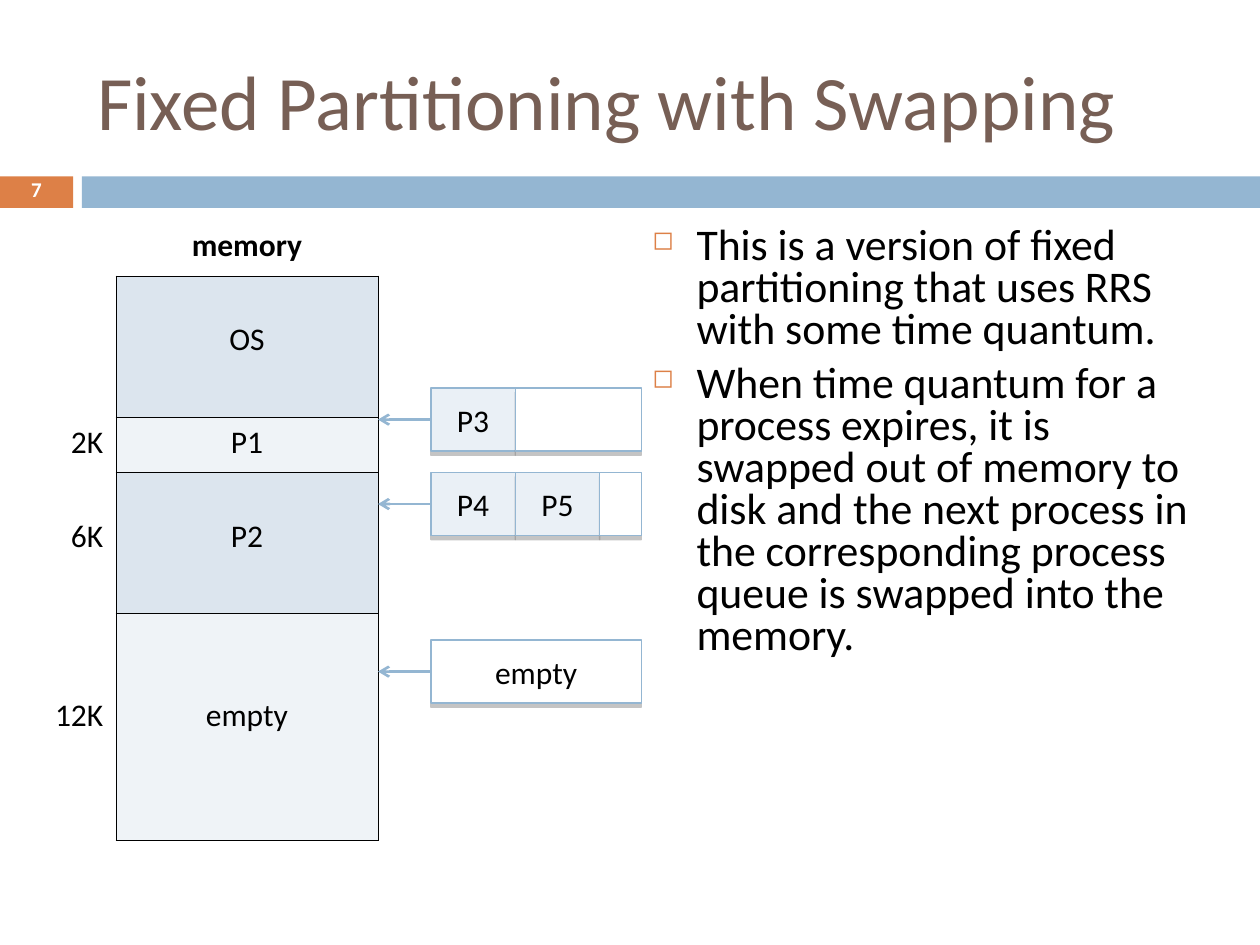
from lxml.etree import SubElement
from pptx import Presentation
from pptx.dml.color import RGBColor
from pptx.enum.shapes import MSO_CONNECTOR, MSO_SHAPE
from pptx.enum.text import MSO_ANCHOR, PP_ALIGN
from pptx.oxml import parse_xml
from pptx.oxml.ns import nsdecls, qn
from pptx.util import Inches, Pt

BLUE, ORANGE, BLACK, WHITE = "94B6D2", "DD8047", "000000", "FFFFFF"


def rgb(color):
    return RGBColor.from_string(color)


def style(p, size, color=BLACK, bold=False, align=PP_ALIGN.LEFT):
    p.alignment = align
    for r in p.runs:
        r.font.name = "Calibri"
        r.font.size = Pt(size)
        r.font.bold = bold
        r.font.color.rgb = rgb(color)


prs = Presentation()
prs.slide_width, prs.slide_height = Inches(10), Inches(7.5)
s = prs.slides.add_slide(prs.slide_layouts[5])

# Header bars
for left, width, color in [(0, 0.58, ORANGE), (0.65, 9.35, BLUE)]:
    bar = s.shapes.add_shape(MSO_SHAPE.RECTANGLE, Inches(left), Inches(1.4),
                             Inches(width), Inches(0.25))
    bar.shadow.inherit = False
    bar.fill.solid()
    bar.fill.fore_color.rgb = rgb(color)
    bar.line.fill.background()

# Title
title = s.shapes.title
title.left, title.top = Inches(0.67), Inches(0.25)
title.width, title.height = Inches(8.92), Inches(1.08)
tf = title.text_frame
tf.text = "Fixed Partitioning with Swapping"
tf.vertical_anchor = MSO_ANCHOR.MIDDLE
style(tf.paragraphs[0], 44, "775F55")

# Slide number
tf = s.shapes.add_textbox(0, Inches(1.39), Inches(0.58), Inches(0.27)).text_frame
tf.word_wrap = True
tf.vertical_anchor = MSO_ANCHOR.MIDDLE
tf.text = "7"
tf.paragraphs[0].line_spacing = 0.7
style(tf.paragraphs[0], 12, WHITE, True, PP_ALIGN.CENTER)

# Bullets
tf = s.shapes.add_textbox(Inches(5.08), Inches(1.75), Inches(4.5), Inches(4.92)).text_frame
tf.word_wrap = True
bullets = [
    "This is a version of fixed partitioning that uses RRS with some time quantum.",
    "When time quantum for a process expires, it is swapped out of memory to disk "
    "and the next process in the corresponding process queue is swapped into the memory.",
]
for i, text in enumerate(bullets):
    p = tf.add_paragraph() if i else tf.paragraphs[0]
    p.text = text
    p.line_spacing = 0.8
    p.space_before = Pt(7 if i else 0)
    pPr = p._p.get_or_add_pPr()
    pPr.set("marL", str(Inches(0.35)))
    pPr.set("indent", str(-Inches(0.35)))
    color = SubElement(pPr, qn("a:buClr"))
    SubElement(color, qn("a:srgbClr"), val=ORANGE)
    SubElement(pPr, qn("a:buSzPct"), val="60000")
    SubElement(pPr, qn("a:buChar"), char="◻")
    style(p, 25)

# Memory table: size label, partition, fill, row height, text lines to move down
rows = [
    ("", "memory", WHITE, 0.44, 0),
    ("", "OS", "DCE5EE", 1.12, 1),
    ("2K", "P1", "EFF3F7", 0.44, 0),
    ("6K", "P2", "DCE5EE", 1.12, 1),
    ("12K", "empty", "EFF3F7", 1.8, 2),
]
frame = s.shapes.add_table(len(rows), 2, 0, Inches(1.75), Inches(3), Inches(4.92))
table = frame.table
table.columns[0].width, table.columns[1].width = Inches(0.92), Inches(2.08)
for i, (size, name, fill, height, lines) in enumerate(rows):
    table.rows[i].height = Inches(height)
    for j, text in enumerate((size, name)):
        cell = table.cell(i, j)
        cell.margin_top = Inches(0.05 + 0.305 * lines)
        cell.text = text
        style(cell.text_frame.paragraphs[0], 18, bold=i == 0,
              align=PP_ALIGN.CENTER if j else PP_ALIGN.RIGHT)
        tcPr = cell._tc.get_or_add_tcPr()
        for side in "LRTB":
            if i == 0:
                black = j == 1 and side == "B"
            else:
                black = j == 1 or side == "R"
            ln = SubElement(tcPr, qn(f"a:ln{side}"), w=str(Pt(0.45)))
            paint = SubElement(ln, qn("a:solidFill"))
            SubElement(paint, qn("a:srgbClr"), val=BLACK if black else WHITE)
        cell.fill.solid()
        cell.fill.fore_color.rgb = rgb(fill if j else WHITE)

# Process queues: top, then (text, width, fill) of each slot
PROCESS = "EAF0F6"
queues = [
    (3.08, [("P3", 0.67, PROCESS), ("", 1, WHITE)]),
    (3.75, [("P4", 0.67, PROCESS), ("P5", 0.67, PROCESS), ("", 0.33, WHITE)]),
    (5.08, [("empty", 1.67, WHITE)]),
]
for top, slots in queues:
    left = 3.42
    boxes = []
    for text, width, fill in slots:
        box = s.shapes.add_shape(MSO_SHAPE.RECTANGLE, Inches(left), Inches(top),
                                 Inches(width), Inches(0.5))
        box.fill.solid()
        box.fill.fore_color.rgb = rgb(fill)
        box.line.color.rgb = rgb(BLUE)
        box.line.width = Pt(0.79)
        box.shadow.inherit = False
        box._element.spPr.find(qn("a:effectLst")).append(parse_xml(
            f'<a:outerShdw {nsdecls("a")} blurRad="0" dist="{Pt(2.4)}" dir="5400000">'
            '<a:srgbClr val="808080"><a:alpha val="45000"/></a:srgbClr></a:outerShdw>'))
        if text:
            box.text_frame.text = text
            box.text_frame.vertical_anchor = MSO_ANCHOR.MIDDLE
            style(box.text_frame.paragraphs[0], 18, align=PP_ALIGN.CENTER)
        boxes.append(box)
        left += width

    # Arrow from the head of the queue to memory
    y = Inches(top + 0.25)
    arrow = s.shapes.add_connector(MSO_CONNECTOR.STRAIGHT, Inches(3.42), y, Inches(3), y)
    arrow.begin_connect(boxes[0], 1)
    arrow.line.color.rgb = rgb(BLUE)
    arrow.line.width = Pt(1.5)
    SubElement(arrow.line._get_or_add_ln(), qn("a:tailEnd"), type="arrow")
    SubElement(arrow._element.spPr, qn("a:effectLst"))

prs.save("out.pptx")
